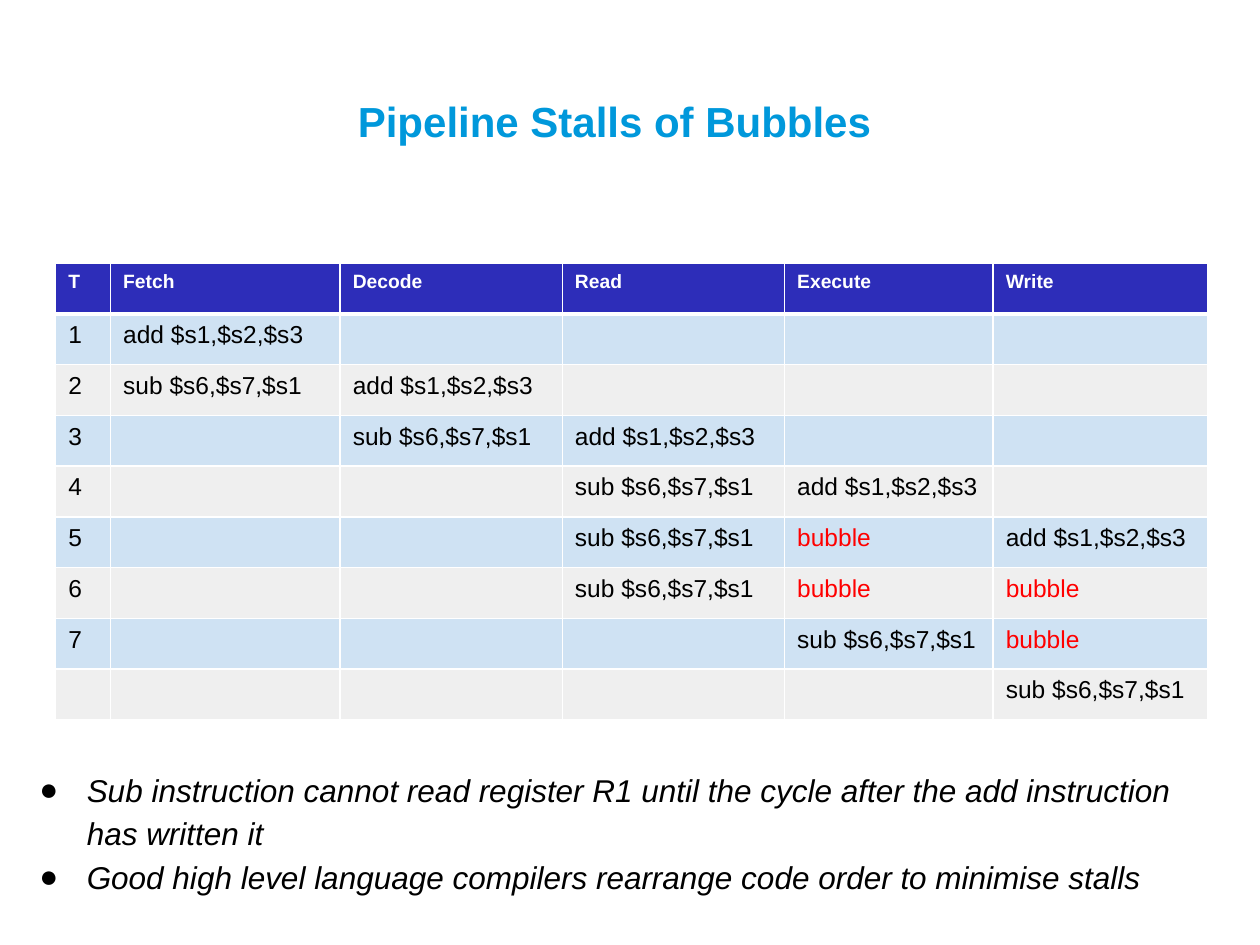
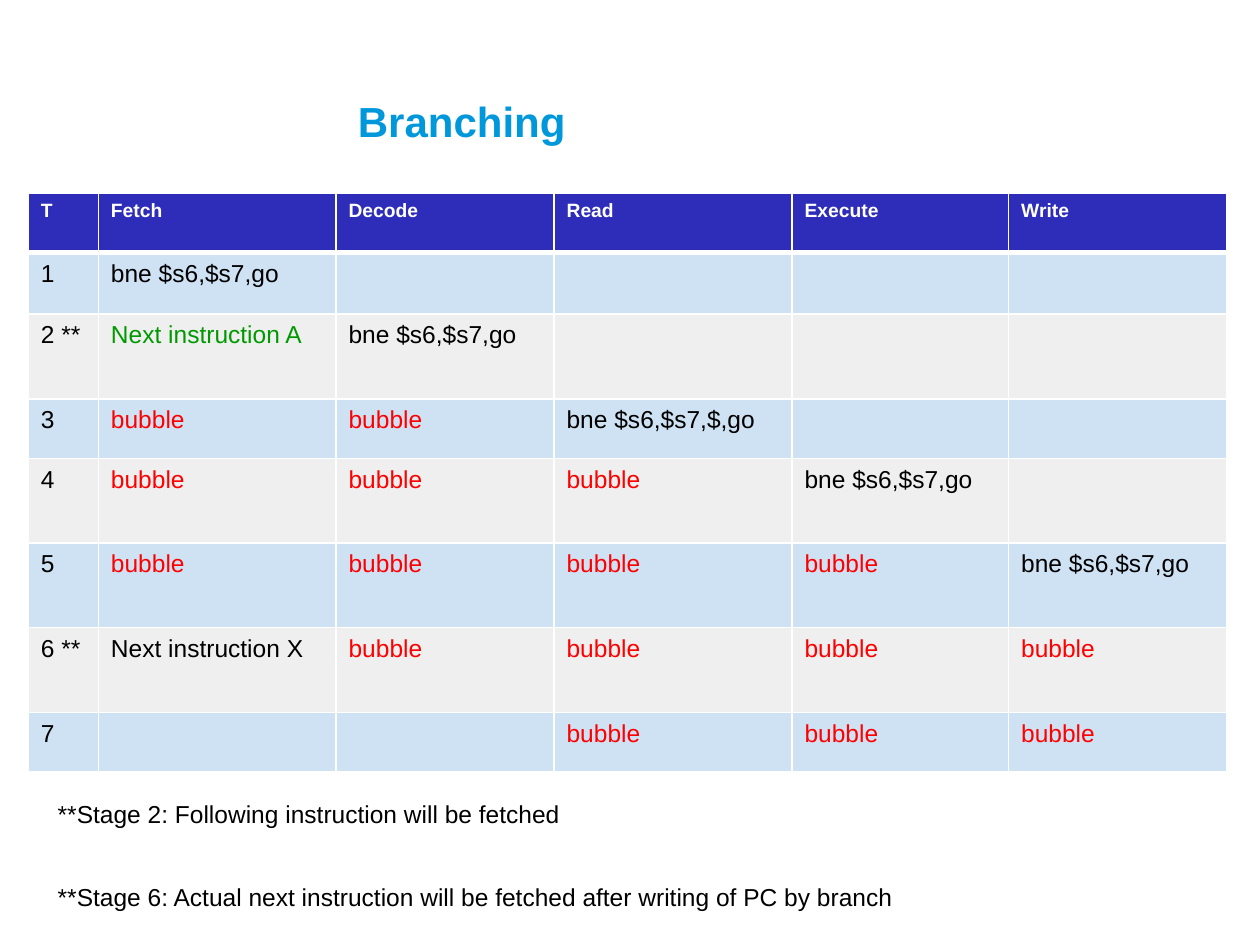
import dataclasses

import lxml.etree
import pptx
import pptx.dml.color
import pptx.enum.text
import pptx.oxml.ns
import pptx.util

Pt = pptx.util.Pt
qn = pptx.oxml.ns.qn

COLORS = {
    "title": "0098DB",
    "header": "2D2DB9",
    "odd": "CFE2F3",
    "even": "EFEFEF",
    "white": "FFFFFF",
    "ink": "000000",
    "bubble": "FF0000",
    "speculative": "009900",
}
FONT = "Arial"
TITLE_ONLY = 5
STAGES = ("T", "Fetch", "Decode", "Read", "Execute", "Write")
ADD = "add $s1,$s2,$s3"
SUB = "sub $s6,$s7,$s1"
BNE = "bne $s6,$s7,go"
BUBBLE = "bubble"
DISCARDED = "Next instruction A"
TEXT_COLORS = {BUBBLE: "bubble", DISCARDED: "speculative"}


@dataclasses.dataclass
class Schedule:
    left: float
    top: float
    widths: tuple[float, ...]
    heights: tuple[float, ...]
    cycles: tuple[tuple[str, ...], ...]


@dataclasses.dataclass
class Notes:
    box: tuple[float, float, float, float]
    lines: tuple[str, ...]
    size: float
    line_spacing: float
    gap: float = 0
    italic: bool = False
    bulleted: bool = False


@dataclasses.dataclass
class Page:
    title: str
    schedule: Schedule
    notes: Notes


PAGES = (
    Page(
        "Pipeline Stalls of Bubbles",
        Schedule(
            31.8, 150.6,
            (31.4, 131.2, 127, 127, 119.2, 122.6),
            (28.8,) + (29,) * 8,
            (
                ("1", ADD, "", "", "", ""),
                ("2", SUB, ADD, "", "", ""),
                ("3", "", SUB, ADD, "", ""),
                ("4", "", "", SUB, ADD, ""),
                ("5", "", "", SUB, BUBBLE, ADD),
                ("6", "", "", SUB, BUBBLE, BUBBLE),
                ("7", "", "", "", SUB, BUBBLE),
                ("", "", "", "", "", SUB),
            ),
        ),
        Notes(
            (6.5, 424.8, 683.3, 99.4),
            (
                "Sub instruction cannot read register R1 until the cycle after "
                "the add instruction has written it",
                "Good high level language compilers rearrange code order to minimise stalls",
            ),
            18, 1.15, italic=True, bulleted=True,
        ),
    ),
    Page(
        "Branching",
        Schedule(
            16.2, 110.2,
            (40, 135.8, 124.6, 136, 123.8, 124.6),
            (34, 35.3, 48.4, 34, 48.4, 48.4, 48.4, 34),
            (
                ("1", BNE, "", "", "", ""),
                ("2 **", DISCARDED, BNE, "", "", ""),
                ("3", BUBBLE, BUBBLE, "bne $s6,$s7,$,go", "", ""),
                ("4", BUBBLE, BUBBLE, BUBBLE, BNE, ""),
                ("5", BUBBLE, BUBBLE, BUBBLE, BUBBLE, BNE),
                ("6 **", "Next instruction X", BUBBLE, BUBBLE, BUBBLE, BUBBLE),
                ("7", "", "", BUBBLE, BUBBLE, BUBBLE),
            ),
        ),
        Notes(
            (25.9, 450, 694.1, 79.2),
            (
                "**Stage 2: Following instruction will be fetched",
                "**Stage 6: Actual next instruction will be fetched after writing of PC by branch",
            ),
            14, 0.93, gap=32,
        ),
    ),
)


def rgb(color: str) -> pptx.dml.color.RGBColor:
    return pptx.dml.color.RGBColor.from_string(COLORS[color])


def style_runs(paragraph, size: float, color: str, bold=False, italic=False) -> None:
    for run in paragraph.runs:
        run.font.name = FONT
        run.font.size = Pt(size)
        run.font.bold = bold
        run.font.italic = italic
        run.font.color.rgb = rgb(color)


def set_insets(frame, horizontal: float, vertical: float) -> None:
    frame.margin_left = frame.margin_right = Pt(horizontal)
    frame.margin_top = frame.margin_bottom = Pt(vertical)


def add_title(slide, wording: str) -> None:
    title = slide.shapes.title
    title.left, title.top, title.width, title.height = map(Pt, (197.3, 49.7, 466.6, 37.4))
    frame = title.text_frame
    frame.text = wording
    frame.auto_size = pptx.enum.text.MSO_AUTO_SIZE.NONE
    frame.vertical_anchor = pptx.enum.text.MSO_ANCHOR.BOTTOM
    set_insets(frame, 7.2, 3.6)
    frame.paragraphs[0].alignment = pptx.enum.text.PP_ALIGN.LEFT
    style_runs(frame.paragraphs[0], 24, "title", bold=True)


def add_borders(cell, top: float, bottom: float) -> None:
    properties = cell._tc.get_or_add_tcPr()
    edges = (("a:lnL", 1), ("a:lnR", 1), ("a:lnT", top), ("a:lnB", bottom))
    for position, (edge, width) in enumerate(edges):
        line = lxml.etree.Element(qn(edge), w=str(Pt(width)))
        fill = lxml.etree.SubElement(line, qn("a:solidFill"))
        lxml.etree.SubElement(fill, qn("a:srgbClr"), val=COLORS["white"])
        properties.insert(position, line)


def fill_cell(cell, wording: str, row: int) -> None:
    is_header = row == 0
    size = 11 if is_header else 14
    background = "header" if is_header else ("odd" if row % 2 else "even")
    color = "white" if is_header else TEXT_COLORS.get(wording, "ink")
    cell.fill.solid()
    cell.fill.fore_color.rgb = rgb(background)
    set_insets(cell, 7.2, 4.3)
    add_borders(cell, top=3 if row == 1 else 1, bottom=3 if is_header else 1)
    paragraph = cell.text_frame.paragraphs[0]
    if wording:
        paragraph.text = wording
        style_runs(paragraph, size, color, bold=is_header)
    else:
        lxml.etree.SubElement(paragraph._p, qn("a:endParaRPr"), sz=str(size * 100))


def add_schedule(slide, schedule: Schedule) -> None:
    rows = (STAGES,) + schedule.cycles
    table = slide.shapes.add_table(
        len(rows), len(STAGES), Pt(schedule.left), Pt(schedule.top),
        Pt(sum(schedule.widths)), Pt(sum(schedule.heights)),
    ).table
    for column, width in zip(table.columns, schedule.widths):
        column.width = Pt(width)
    for table_row, height in zip(table.rows, schedule.heights):
        table_row.height = Pt(height)
    for row, wordings in enumerate(rows):
        for column, wording in enumerate(wordings):
            fill_cell(table.cell(row, column), wording, row)


def add_bullet(paragraph) -> None:
    properties = paragraph._p.get_or_add_pPr()
    properties.set("marL", str(Pt(36)))
    properties.set("indent", str(Pt(-27)))
    bullet_color = lxml.etree.SubElement(properties, qn("a:buClr"))
    lxml.etree.SubElement(bullet_color, qn("a:srgbClr"), val=COLORS["ink"])
    lxml.etree.SubElement(properties, qn("a:buFont"), typeface=FONT)
    lxml.etree.SubElement(properties, qn("a:buChar"), char="●")


def add_notes(slide, notes: Notes) -> None:
    frame = slide.shapes.add_textbox(*map(Pt, notes.box)).text_frame
    frame.word_wrap = True
    frame.vertical_anchor = pptx.enum.text.MSO_ANCHOR.MIDDLE
    set_insets(frame, 7.2, 7.2)
    frame.text = "\n".join(notes.lines)
    for index, paragraph in enumerate(frame.paragraphs):
        if notes.bulleted:
            add_bullet(paragraph)
        paragraph.line_spacing = notes.line_spacing
        if index and notes.gap:
            paragraph.space_before = Pt(notes.gap)
        style_runs(paragraph, notes.size, "ink", italic=notes.italic)


def main() -> None:
    deck = pptx.Presentation()
    deck.slide_width, deck.slide_height = Pt(720), Pt(540)
    for page in PAGES:
        slide = deck.slides.add_slide(deck.slide_layouts[TITLE_ONLY])
        add_title(slide, page.title)
        add_schedule(slide, page.schedule)
        add_notes(slide, page.notes)
    deck.save("out.pptx")


if __name__ == "__main__":
    main()
